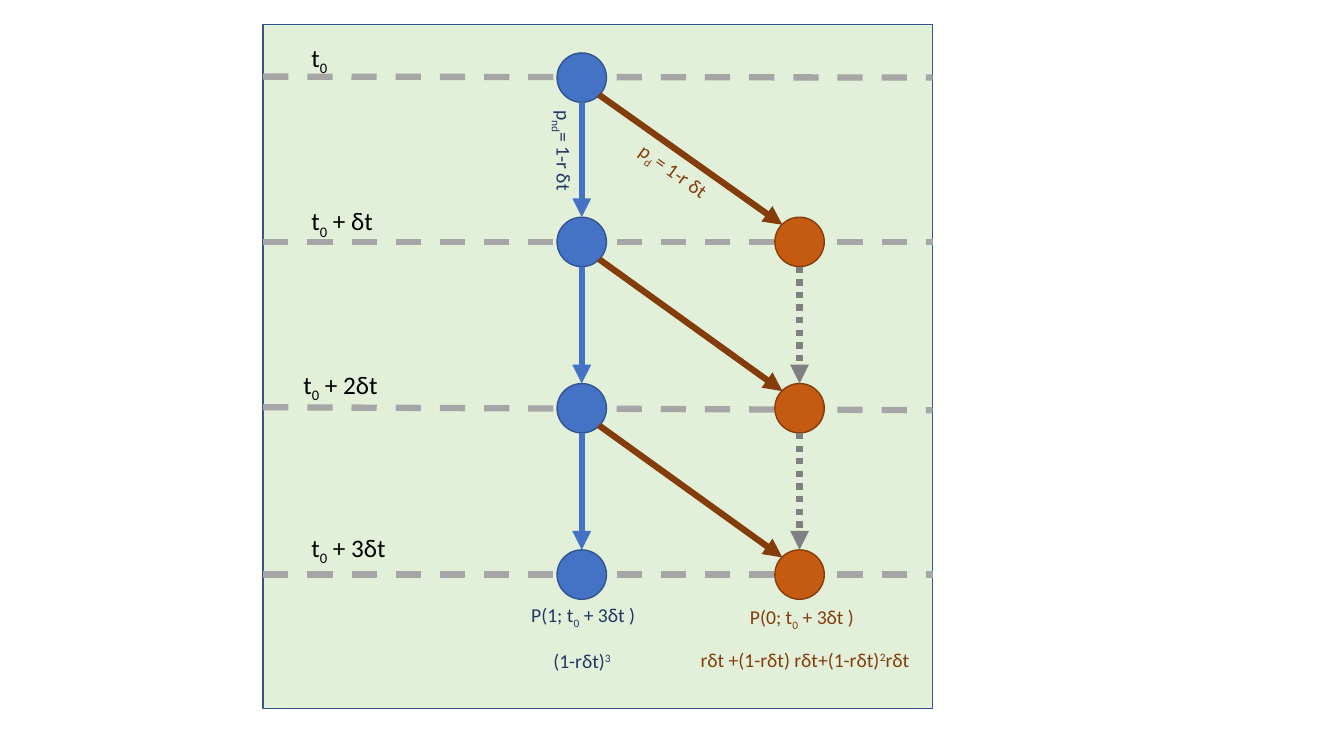
import pptx
import pptx.util
import pptx.dml.color
import pptx.enum.dml
import pptx.enum.shapes
import pptx.enum.text
import pptx.oxml
from pptx.util import Inches

# ---- Content ----
NAVY, BLUE, BLUE_EDGE = "203864", "4472C4", "325491"
BROWN, ORANGE = "843C0B", "C55A11"
GUIDE_GREY, DOT_GREY, BLACK, PALE_GREEN = "A6A6A6", "808080", "000000", "E2F0D9"

SUB, SUPER = -25, 30
DASH = pptx.enum.dml.MSO_LINE.DASH
DOTS = pptx.enum.dml.MSO_LINE.ROUND_DOT

# Each text is a list of (characters, baseline shift in percent)
time_steps = [  # label left, label runs, guide start y, guide end y
    (2.99, [("t", 0), ("0", SUB)], 0.76, 0.77),
    (2.99, [("t", 0), ("0", SUB), (" + δt", 0)], 2.4, 2.4),
    (2.91, [("t", 0), ("0", SUB), (" + 2δt", 0)], 4.04, 4.07),
    (2.99, [("t", 0), ("0", SUB), (" + 3δt", 0)], 5.7, 5.7),
]
branch_labels = [  # box, rotation, colour, runs
    ((5.06, 1.36, 1.07, 0.34), 90, NAVY,
     [("p", 0), ("nd", SUB), ("= 1-r δt", 0)]),
    ((6.19, 1.55, 1.05, 0.34), 35.4, BROWN,
     [("p", 0), ("d ", SUB), ("= 1-r δt", 0)]),
]
outcomes = [  # box, colour, runs
    ((5.39, 6.39, 0.8, 0.57), NAVY, [("(1-rδt)", 0), ("3", SUPER)]),
    ((6.85, 6.38, 2.35, 0.57), BROWN,
     [("rδt +(1-rδt) rδt+(1-rδt)", 0), ("2", SUPER), ("rδt", 0)]),
    ((5.17, 5.93, 2.13, 0.34), NAVY,
     [("P(1; t", 0), ("0", SUB), (" + 3δt )", 0)]),
    ((7.34, 5.95, 1.3, 0.34), BROWN,
     [("P(0; t", 0), ("0", SUB), (" + 3δt )", 0)]),
]

# ---- Layout ----
PANEL = (2.61, 0.24, 6.64, 6.79)
PANEL_RIGHT = PANEL[0] + PANEL[2]
ROWS = [0.77, 2.4, 4.05, 5.7]
ALIVE_X, DECAYED_X = 5.77, 7.93
DIAMETER = 0.49
RADIUS = DIAMETER / 2
DIAGONAL = 0.17  # offset of a circle's edge at 45 degrees
LABEL_TOP, LABEL_PITCH = 0.37, 1.62

prs = pptx.Presentation()
prs.slide_width, prs.slide_height = Inches(13.33), Inches(7.5)
slide = prs.slides.add_slide(prs.slide_layouts[6])


def rgb(code):
    return pptx.dml.color.RGBColor.from_string(code)


def add_outlined(preset, box, fill, edge):
    shape = slide.shapes.add_shape(preset, *map(Inches, box))
    shape.shadow.inherit = False
    shape.fill.solid()
    shape.fill.fore_color.rgb = rgb(fill)
    shape.line.color.rgb = rgb(edge)
    shape.line.width = pptx.util.Pt(1)


def add_state(x, y, fill, edge):
    add_outlined(pptx.enum.shapes.MSO_SHAPE.OVAL,
                 (x - RADIUS, y - RADIUS, DIAMETER, DIAMETER), fill, edge)


def add_line(start, end, color, dash=None, arrow=True):
    connector = slide.shapes.add_connector(
        pptx.enum.shapes.MSO_CONNECTOR.STRAIGHT, *map(Inches, start + end))
    connector.line.color.rgb = rgb(color)
    connector.line.width = pptx.util.Pt(4.5)
    if dash is not None:
        connector.line.dash_style = dash
    ns = 'xmlns:a="http://schemas.openxmlformats.org/drawingml/2006/main"'
    if arrow:
        connector.line._get_or_add_ln().append(
            pptx.oxml.parse_xml(f'<a:tailEnd {ns} type="triangle"/>'))
    connector._element.spPr.append(pptx.oxml.parse_xml(f"<a:effectLst {ns}/>"))


def add_text(box, runs, color, size=14, rotation=0, wrap=True):
    label = slide.shapes.add_textbox(*map(Inches, box))
    label.rotation = rotation
    fit = pptx.enum.text.MSO_AUTO_SIZE
    frame_format = {"word_wrap": wrap,
                    "auto_size": fit.NONE if wrap else fit.SHAPE_TO_FIT_TEXT}
    for name, value in frame_format.items():
        setattr(label.text_frame, name, value)
    for characters, shift in runs:
        run = label.text_frame.paragraphs[0].add_run()
        run.text = characters
        for name, value in {"name": "Calibri", "size": pptx.util.Pt(size)}.items():
            setattr(run.font, name, value)
        run.font.color.rgb = rgb(color)
        if shift:
            run._r.get_or_add_rPr().set("baseline", str(shift * 1000))


# ---- Panel and time guides ----
add_outlined(pptx.enum.shapes.MSO_SHAPE.RECTANGLE, PANEL, PALE_GREEN, BLUE_EDGE)
for _, _, start_y, end_y in time_steps:
    add_line((PANEL[0], start_y), (PANEL_RIGHT, end_y), GUIDE_GREY, DASH, arrow=False)

# ---- States and transitions ----
steps = list(zip(ROWS, ROWS[1:]))
for y in ROWS:
    add_state(ALIVE_X, y, BLUE, BLUE_EDGE)
for y, next_y in steps:
    add_line((ALIVE_X, y + RADIUS), (ALIVE_X, next_y - RADIUS), BLUE)
    add_line((ALIVE_X + DIAGONAL, y + DIAGONAL),
             (DECAYED_X - DIAGONAL, next_y - DIAGONAL), BROWN)
    add_state(DECAYED_X, next_y, ORANGE, BROWN)
for y, next_y in steps[1:]:
    add_line((DECAYED_X, y + RADIUS), (DECAYED_X, next_y - RADIUS), DOT_GREY, DOTS)

# ---- Labels ----
for box, rotation, color, runs in branch_labels:
    add_text(box, runs, color, rotation=rotation, wrap=False)
for row, (left, runs, _, _) in enumerate(time_steps):
    add_text((left, LABEL_TOP + row * LABEL_PITCH, 1.35, 0.71), runs, BLACK, size=18)
for box, color, runs in outcomes:
    add_text(box, runs, color)

prs.save("out.pptx")
